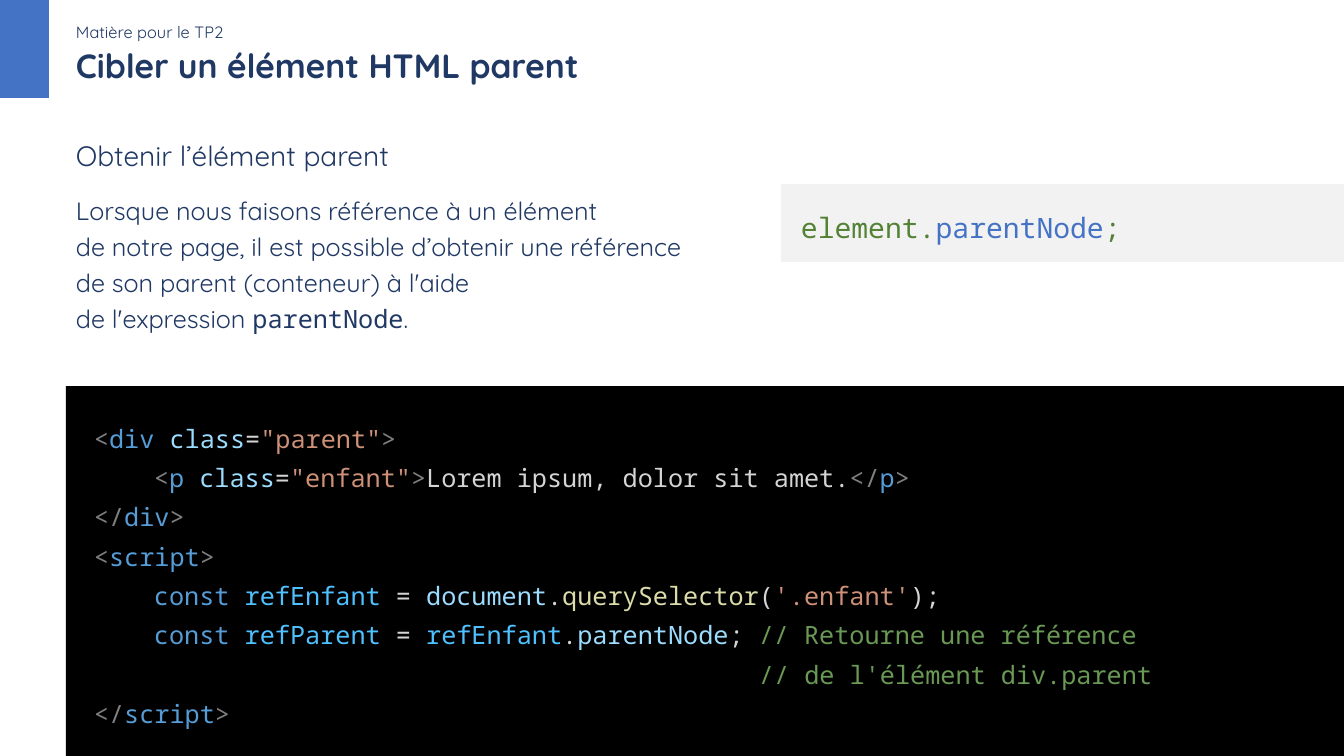
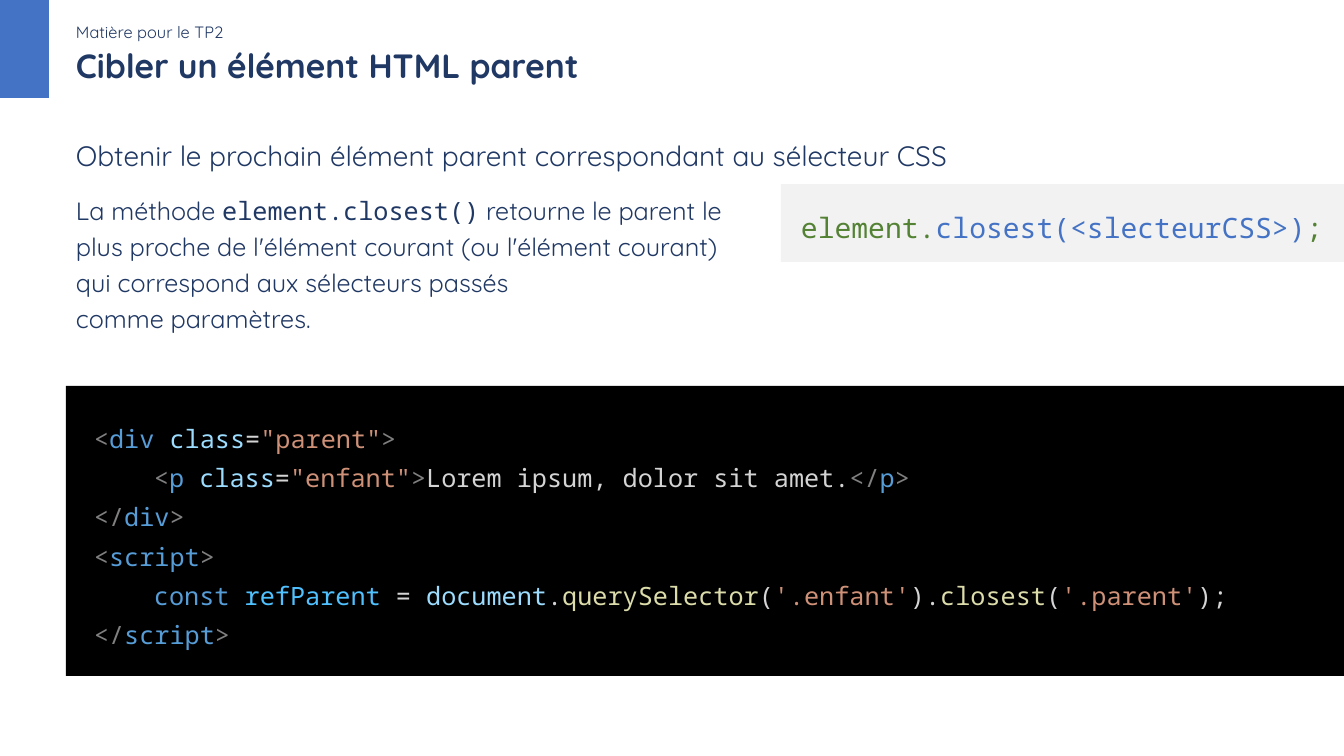
from pptx import Presentation
from pptx.dml.color import RGBColor
from pptx.enum.shapes import MSO_SHAPE
from pptx.enum.text import MSO_ANCHOR, MSO_AUTO_SIZE, PP_ALIGN
from pptx.util import Pt

RECTANGLE = MSO_SHAPE.RECTANGLE
TOP = MSO_ANCHOR.TOP
LEFT = PP_ALIGN.LEFT
GROW = MSO_AUTO_SIZE.SHAPE_TO_FIT_TEXT
FIXED = MSO_AUTO_SIZE.NONE

PX = 914400 / 100.8
WIDTH, HEIGHT = 1344, 756
MARGIN = 66
CODE_INDENT = 60
COMMENT_INDENT = 665

SANS = "Quicksand"
MONO = "Noto Sans Mono"

NAVY = RGBColor(0x20, 0x38, 0x64)
BLUE = RGBColor(0x44, 0x72, 0xC4)
GREEN = RGBColor(0x54, 0x82, 0x35)
PALE = RGBColor(0xF2, 0xF2, 0xF2)
BLACK = RGBColor(0x00, 0x00, 0x00)
BRACKET = RGBColor(0x80, 0x80, 0x80)
KEYWORD = RGBColor(0x56, 0x9C, 0xD6)
NAME = RGBColor(0x9C, 0xDC, 0xFE)
PLAIN = RGBColor(0xD4, 0xD4, 0xD4)
STRING = RGBColor(0xCE, 0x91, 0x78)
CONSTANT = RGBColor(0x4F, 0xC1, 0xFF)
METHOD = RGBColor(0xDC, 0xDC, 0xAA)
COMMENT = RGBColor(0x6A, 0x99, 0x55)


def px(length):
    return round(length * PX)


def add_text(page, lines, bounds, fill=None, font=SANS, size=18, bold=False,
             spacing=1.2, before=0, inset=None, autosize=GROW):
    place = [px(length) for length in bounds]
    if fill is None:
        box = page.shapes.add_textbox(*place)
    else:
        box = page.shapes.add_shape(RECTANGLE, *place)
        box.shadow.inherit = False
        box.fill.solid()
        box.fill.fore_color.rgb = fill
        box.line.fill.background()
    frame = box.text_frame
    frame.word_wrap = True
    frame.auto_size = autosize
    frame.vertical_anchor = TOP
    if inset is not None:
        frame.margin_left = frame.margin_right = px(inset)
        frame.margin_top = frame.margin_bottom = px(inset)
    for number, (indent, runs) in enumerate(lines):
        para = frame.add_paragraph() if number else frame.paragraphs[0]
        para.alignment = LEFT
        para.line_spacing = spacing
        para.space_before = Pt(before)
        if indent:
            para._p.get_or_add_pPr().set("marL", str(px(indent)))
        for text, color, *other_font in runs:
            for row, piece in enumerate(text.split("\n")):
                if row:
                    para.add_line_break()
                span = para.add_run()
                span.text = piece
                span.font.name = other_font[0] if other_font else font
                span.font.size = Pt(size)
                span.font.bold = bold
                span.font.color.rgb = color
    return box


MARKUP = [
    (0, [("<", BRACKET), ("div ", KEYWORD), ("class", NAME), ("=", PLAIN),
         ('"parent"', STRING), (">", BRACKET)]),
    (CODE_INDENT, [("<", BRACKET), ("p ", KEYWORD), ("class", NAME), ("=", PLAIN),
                   ('"enfant"', STRING), (">", BRACKET),
                   ("Lorem ipsum, dolor sit amet.", PLAIN),
                   ("</", BRACKET), ("p", KEYWORD), (">", BRACKET)]),
    (0, [("</", BRACKET), ("div", KEYWORD), (">", BRACKET)]),
    (0, [("<", BRACKET), ("script", KEYWORD), (">", BRACKET)]),
]
SCRIPT_END = [(0, [("</", BRACKET), ("script", KEYWORD), (">", BRACKET)])]
QUERY = [("document", NAME), (".", PLAIN), ("querySelector", METHOD),
         ("(", PLAIN), ("'.enfant'", STRING)]

TOPICS = [
    {
        "heading": "Obtenir l’élément parent",
        "body": [
            ("Lorsque nous faisons référence à un élément \n"
             "de notre page, il est possible d’obtenir une référence \n"
             "de son parent (conteneur) à l'aide \n"
             "de l'expression ", NAVY),
            ("parentNode", NAVY, MONO),
            (".", NAVY),
        ],
        "syntax": "parentNode",
        "code": [
            (CODE_INDENT, [("const ", KEYWORD), ("refEnfant", CONSTANT), (" = ", PLAIN),
                           *QUERY, (");", PLAIN)]),
            (CODE_INDENT, [("const ", KEYWORD), ("refParent", CONSTANT), (" = ", PLAIN),
                           ("refEnfant", CONSTANT), (".", PLAIN), ("parentNode", NAME),
                           ("; ", PLAIN), ("// Retourne une référence", COMMENT)]),
            (COMMENT_INDENT, [("// de l'élément div.parent", COMMENT)]),
        ],
        "code_height": 370,
    },
    {
        "heading": "Obtenir le prochain élément parent correspondant au sélecteur CSS",
        "body": [
            ("La méthode ", NAVY),
            ("element.closest()", NAVY, MONO),
            (" retourne le parent le plus proche de l'élément courant "
             "(ou l'élément courant) qui correspond aux sélecteurs passés \n"
             "comme paramètres.", NAVY),
        ],
        "syntax": "closest(<slecteurCSS>)",
        "code": [
            (CODE_INDENT, [("const ", KEYWORD), ("refParent", CONSTANT), (" = ", PLAIN),
                           *QUERY, (").", PLAIN), ("closest", METHOD), ("(", PLAIN),
                           ("'.parent'", STRING), (");", PLAIN)]),
        ],
        "code_height": 290,
    },
]

deck = Presentation()
deck.slide_width = px(WIDTH)
deck.slide_height = px(HEIGHT)
blank = deck.slide_layouts[6]

for topic in TOPICS:
    page = deck.slides.add_slide(blank)
    add_text(page, [(0, [("Cibler un élément HTML parent", NAVY)])],
             (MARGIN, 44, 958, 54), size=24, bold=True, spacing=0.9, autosize=FIXED)
    add_text(page, [(0, [("Matière pour le TP2", NAVY)])],
             (MARGIN, 13, 874, 37), size=11.7, autosize=FIXED)
    add_text(page, [], (0, 0, 49, 98), fill=BLUE, autosize=FIXED)
    add_text(page, [(0, [(topic["heading"], NAVY)])],
             (MARGIN, 127, 976, 50), size=20, before=12)
    add_text(page, [(0, topic["body"])], (MARGIN, 184, 669, 157), before=24)
    add_text(page, MARKUP + topic["code"] + SCRIPT_END,
             (MARGIN, 386, WIDTH - MARGIN, topic["code_height"]),
             fill=BLACK, font=MONO, spacing=1.3, inset=28)
    syntax = [("element.", GREEN), (topic["syntax"], BLUE), (";", GREEN)]
    add_text(page, [(0, syntax)], (781, 184, WIDTH - 781, 78),
             fill=PALE, font=MONO, size=20, before=18, inset=20)

deck.save("out.pptx")
